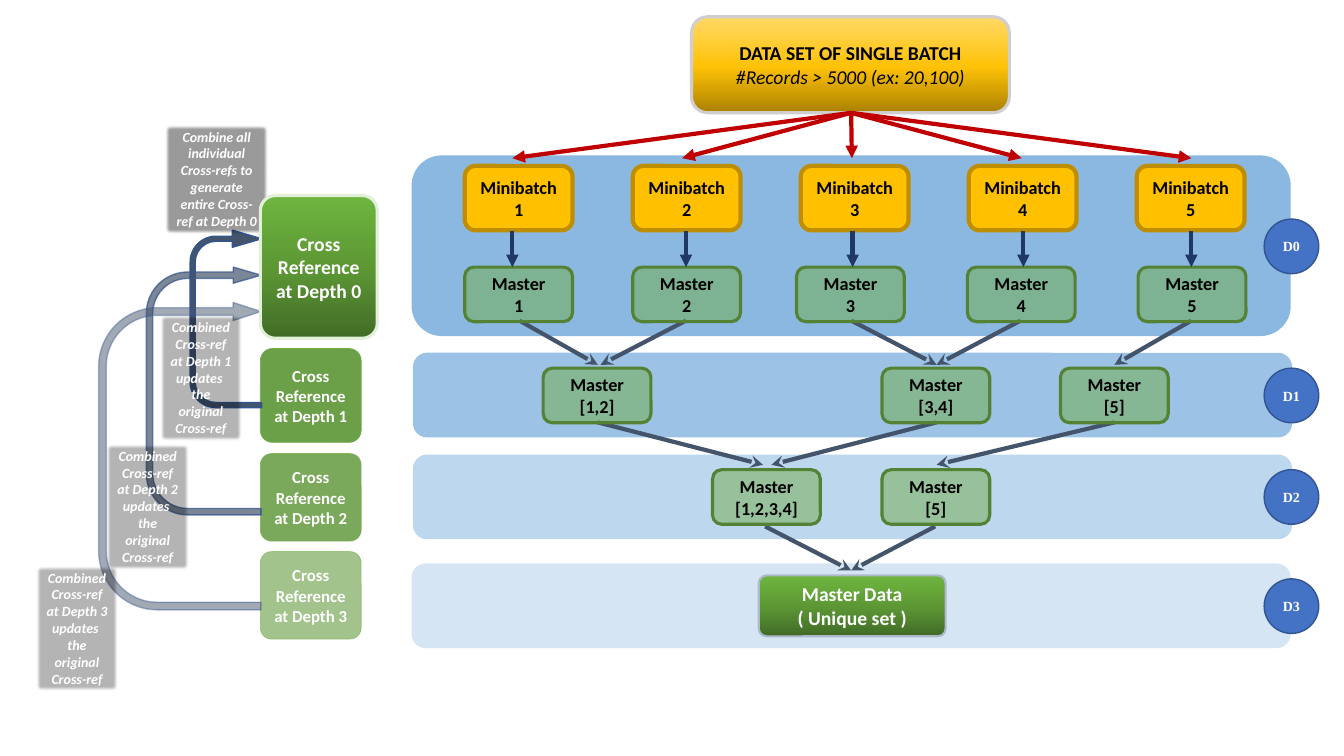
from dataclasses import dataclass, replace
from typing import NamedTuple

from lxml.etree import SubElement
from pptx import Presentation
from pptx.dml.color import RGBColor
from pptx.enum.shapes import MSO_CONNECTOR as Line, MSO_SHAPE as Geo
from pptx.enum.text import MSO_ANCHOR as Anchor, PP_ALIGN as Align
from pptx.oxml.ns import qn
from pptx.util import Pt

BLACK = RGBColor(0x00, 0x00, 0x00)
WHITE = RGBColor(0xFF, 0xFF, 0xFF)
BAND_BLUE = RGBColor(0x5B, 0x9B, 0xD5)
SLATE = RGBColor(0x44, 0x54, 0x6A)
NAVY = RGBColor(0x20, 0x38, 0x64)
RED = RGBColor(0xC0, 0x00, 0x00)
GOLD = RGBColor(0xFF, 0xC0, 0x00)
GOLD_EDGE = RGBColor(0xBD, 0x8E, 0x00)
SILVER = RGBColor(0xD0, 0xCE, 0xCE)
STEEL = RGBColor(0xAD, 0xB9, 0xCA)
GREEN = RGBColor(0x70, 0xAD, 0x47)
LEAF = RGBColor(0x64, 0x9B, 0x3F)
DARK_GREEN = RGBColor(0x54, 0x82, 0x35)
PALE_GREEN = RGBColor(0xE2, 0xF0, 0xD9)
BADGE_BLUE = RGBColor(0x44, 0x72, 0xC4)
BADGE_EDGE = RGBColor(0x32, 0x54, 0x91)


class Stop(NamedTuple):
    position: int
    color: RGBColor


class Box(NamedTuple):
    x: float
    y: float
    w: float
    h: float


@dataclass(frozen=True)
class Style:
    fill: RGBColor | tuple[Stop, ...]
    alpha: int = 100
    edge: RGBColor | None = None
    edge_width: float = 1
    edge_alpha: int = 100
    geo: Geo = Geo.ROUNDED_RECTANGLE
    adj: tuple[float, ...] = ()
    rotation: int = 0
    soft_edge: float = 0
    size: int = 13
    color: RGBColor = BLACK
    font: str = "Calibri"
    italic: bool = False
    anchor: Anchor = Anchor.MIDDLE


GOLD_FADE = (Stop(0, RGBColor(0xAB, 0x81, 0x00)), Stop(48, RGBColor(0xFF, 0xC2, 0x08)),
             Stop(100, RGBColor(0xFF, 0xD9, 0x66)))
GREEN_FADE = (Stop(0, RGBColor(0x41, 0x6B, 0x26)), Stop(50, RGBColor(0x5D, 0x98, 0x35)),
              Stop(100, RGBColor(0x6E, 0xB5, 0x3F)))

DATA_SET = Style(GOLD_FADE, edge=SILVER, edge_width=2.25, size=14)
MINIBATCH = Style(GOLD, edge=GOLD_EDGE, edge_width=3)
MASTER = Style(GREEN, alpha=50, edge=DARK_GREEN, edge_width=2.25)
CROSS_REF = Style(LEAF, edge=GREEN, edge_width=0.5, adj=(0.128,), size=12, color=WHITE)
MASTER_DATA = Style(GREEN_FADE, edge=STEEL, edge_width=1.5, adj=(0.128,), size=14, color=WHITE)
DEPTH_0 = replace(MASTER_DATA, edge=PALE_GREEN, edge_width=2.25)
UPDATE_ARROW = Style(SLATE, edge=BADGE_EDGE, geo=Geo.U_TURN_ARROW, rotation=270)
NOTE = Style(BLACK, alpha=30, geo=Geo.RECTANGLE, soft_edge=2.5, size=10, color=WHITE,
             italic=True, anchor=Anchor.TOP)
BADGE = Style(BADGE_BLUE, edge=BADGE_EDGE, geo=Geo.OVAL, size=10, color=WHITE,
              font="Times New Roman")

prs = Presentation()
prs.slide_width, prs.slide_height = Pt(960), Pt(540)
slide = prs.slides.add_slide(prs.slide_layouts[6])


def set_alpha(parent, percent: int) -> None:
    if percent < 100:
        color = parent.find(qn("a:solidFill"))[0]
        SubElement(color, qn("a:alpha"), val=str(percent * 1000))


def set_gradient(s, stops: tuple[Stop, ...]) -> None:
    s.fill.gradient()
    s.fill.gradient_angle = 90
    stop_list = s.element.spPr.find(qn("a:gradFill")).find(qn("a:gsLst"))
    for old in list(stop_list):
        stop_list.remove(old)
    for stop in stops:
        gs = SubElement(stop_list, qn("a:gs"), pos=str(stop.position * 1000))
        SubElement(gs, qn("a:srgbClr"), val=str(stop.color))


def draw(box: Box, style: Style, *lines: str):
    s = slide.shapes.add_shape(style.geo, *map(Pt, box))
    s.rotation = style.rotation
    s.shadow.inherit = False
    sp = s.element.spPr
    for i, value in enumerate(style.adj):
        s.adjustments[i] = value
    if isinstance(style.fill, RGBColor):
        s.fill.solid()
        s.fill.fore_color.rgb = style.fill
        set_alpha(sp, style.alpha)
    else:
        set_gradient(s, style.fill)
    if style.edge is None:
        s.line.fill.background()
    else:
        s.line.color.rgb = style.edge
        s.line.width = Pt(style.edge_width)
        set_alpha(sp.find(qn("a:ln")), style.edge_alpha)
    if style.soft_edge:
        SubElement(sp.find(qn("a:effectLst")), qn("a:softEdge"), rad=str(int(Pt(style.soft_edge))))
    tf = s.text_frame
    tf.word_wrap = True
    tf.vertical_anchor = style.anchor
    for i, text in enumerate(lines):
        p = tf.add_paragraph() if i else tf.paragraphs[0]
        p.alignment = Align.CENTER
        r = p.add_run()
        r.text = text
        r.font.name, r.font.size = style.font, Pt(style.size)
        r.font.bold, r.font.italic = True, style.italic
        r.font.color.rgb = style.color
    return s


def arrow(x1: float, y1: float, x2: float, y2: float, color: RGBColor, head: str) -> None:
    c = slide.shapes.add_connector(Line.STRAIGHT, Pt(x1), Pt(y1), Pt(x2), Pt(y2))
    c.line.color.rgb = color
    c.line.width = Pt(3)
    sp = c.element.spPr
    SubElement(sp.find(qn("a:ln")), qn("a:tailEnd"), type=head)
    SubElement(sp, qn("a:effectLst"))


# Depth bands
for x, y, h, alpha in ((294, 402.5, 60.5, 25), (295, 324.7, 60.5, 40),
                       (295, 252, 60.5, 60), (294, 111, 129, 70)):
    draw(Box(x, y, 628, h), Style(BAND_BLUE, alpha=alpha))

# Merging arrows between depths: start y, end y, (start x, end x) pairs
MERGES = (
    (229, 260.6, ((371, 427), (490, 429), (608, 669), (729, 669), (851, 796))),
    (301.7, 332, ((427, 545), (669, 551), (796, 669))),
    (376, 407.5, ((546.5, 608), (668, 608))),
)
for y1, y2, pairs in MERGES:
    for x1, x2 in pairs:
        arrow(x1, y1, x2, y2, SLATE, "stealth")

# Data set, split into minibatches, each with its master
s = draw(Box(494, 12, 227, 68.5), DATA_SET, "DATA SET OF SINGLE BATCH",
         "#Records > 5000 (ex: 20,100)")
r = s.text_frame.paragraphs[1].runs[0]
r.font.bold, r.font.italic = False, True

master_lefts = (332, 452, 569, 691, 813)
down_arrows = (366, 490, 609, 731, 851)
for i, (left, down) in enumerate(zip(master_lefts, down_arrows)):
    number = str(i + 1)
    draw(Box(332 + 120 * i, 118.5, 77, 46), MINIBATCH, "Minibatch", number)
    draw(Box(left, 190.8, 77, 39), MASTER, "Master", number)
    arrow(608, 80.6, 366 + 121.25 * i, 113, RED, "triangle")
    arrow(down, 165, down, 190.8, NAVY, "triangle")

# Merged masters
for x, y, members in ((388, 263, "[1,2]"), (630, 263, "[3,4]"), (757.5, 263, "[5]"),
                      (509, 335.5, "[1,2,3,4]"), (630, 335.5, "[5]")):
    draw(Box(x, y, 77, 39), MASTER, "Master", members)
draw(Box(542, 411, 133.5, 43.5), MASTER_DATA, "Master Data", "( Unique set )")

# Cross references below depth 0
for depth, (y, h, alpha, edge_alpha) in enumerate(
        ((249, 67, 95, 100), (324, 62.5, 85, 80), (394, 62.5, 60, 60)), 1):
    draw(Box(186, y, 72, h), replace(CROSS_REF, alpha=alpha, edge_alpha=edge_alpha),
         "Cross Reference", f"at Depth {depth}")

# Arrows back to depth 0
for box, adj, alpha, edge_alpha in (
        (Box(18.7, 267.8, 219.6, 116), (0.047, 0.056, 0.172, 0.361, 1), 50, 40),
        (Box(57, 238.3, 177, 82), (0.056, 0.07, 0.243, 0.361, 1), 70, 70),
        (Box(98, 202.3, 126.7, 51), (0.071, 0.119, 0.408, 0.361, 1), 100, 100)):
    draw(box, replace(UPDATE_ARROW, adj=adj, alpha=alpha, edge_alpha=edge_alpha))

# Notes on the updates
for depth, (x, y) in enumerate(((113, 224), (75, 316), (24.5, 403)), 1):
    draw(Box(x, y, 61, 92), NOTE, f"Combined Cross-ref at Depth {depth} updates ",
         "the original Cross-ref")
draw(Box(116.6, 88, 76.3, 80), replace(NOTE, alpha=40),
     "Combine all individual Cross-refs to generate entire Cross-ref at Depth 0")

# Depth badges
for depth, y in enumerate((156.5, 263, 335.5, 413.5)):
    draw(Box(903, y, 39, 39), BADGE, f"D{depth}")

draw(Box(186, 139.7, 83.5, 102), DEPTH_0, "Cross Reference", "at Depth 0")

prs.save("out.pptx")
